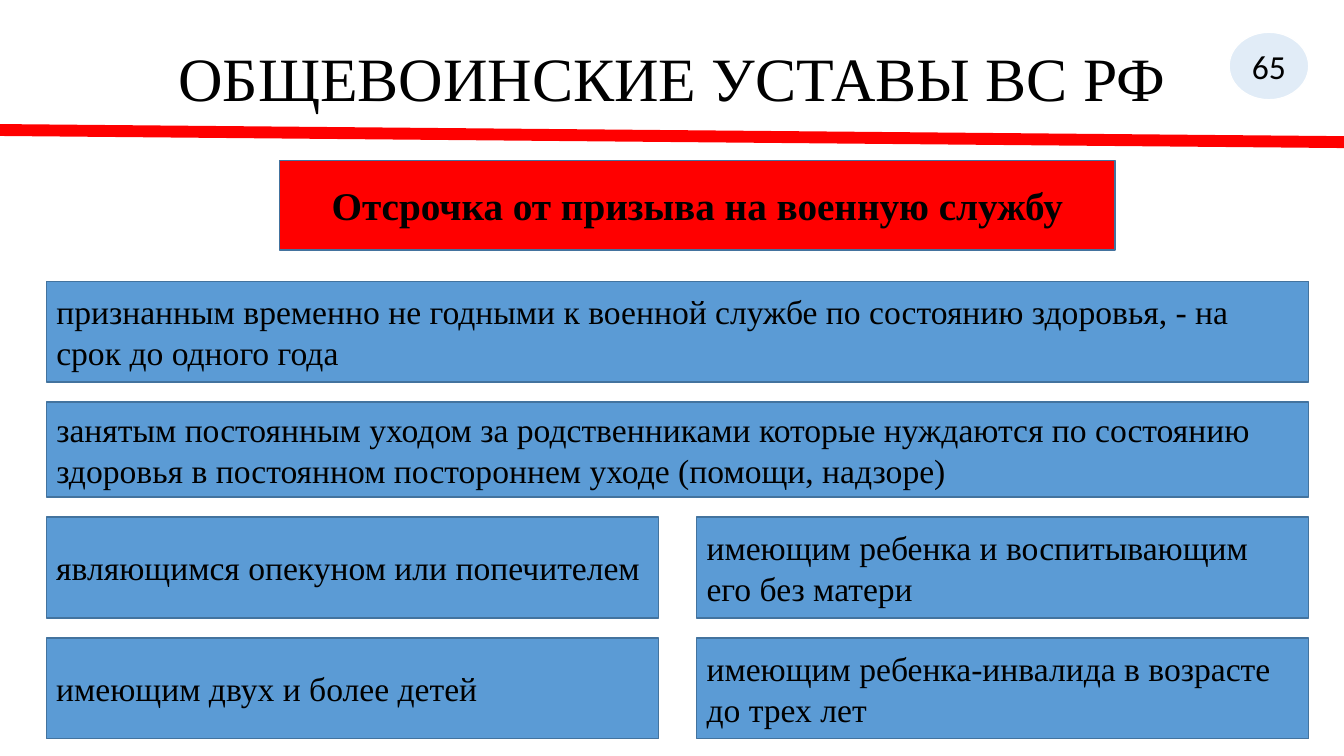
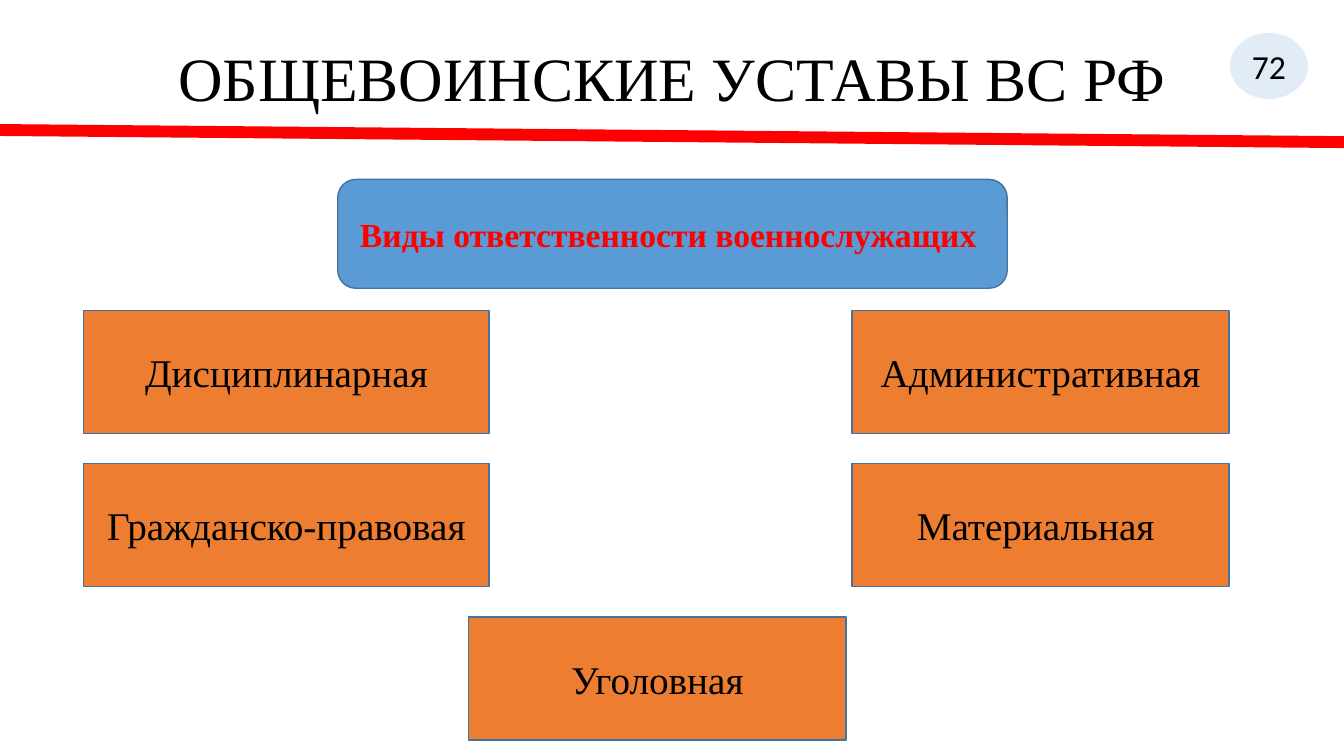
"""Build two slides on military service regulations."""
from lxml import etree
from pptx import Presentation
from pptx.dml.color import RGBColor
from pptx.enum.shapes import MSO_CONNECTOR, MSO_SHAPE
from pptx.enum.text import MSO_ANCHOR, MSO_AUTO_SIZE, PP_ALIGN
from pptx.oxml.ns import qn
from pptx.util import Inches, Pt

RECT, ROUND, OVAL = MSO_SHAPE.RECTANGLE, MSO_SHAPE.ROUNDED_RECTANGLE, MSO_SHAPE.OVAL
STRAIGHT = MSO_CONNECTOR.STRAIGHT
LEFT, CENTER = PP_ALIGN.LEFT, PP_ALIGN.CENTER
MIDDLE, NO_FIT = MSO_ANCHOR.MIDDLE, MSO_AUTO_SIZE.NONE

SLIDE_W, SLIDE_H = 13.33, 7.5
SERIF, SANS = "Times New Roman", "Calibri"
COLORS = {"red": "FF0000", "blue": "5B9BD5", "orange": "ED7D31",
          "edge": "43739E", "black": "000000", "white": "FFFFFF"}
TITLE = "ОБЩЕВОИНСКИЕ УСТАВЫ ВС РФ"

GRID_LEFT, GRID_TOP, GRID_W = 0.46, 2.79, 12.52
COL_GAP, ROW_GAP = 0.38, 0.2
DEFERMENTS = [
    (1, ["признанным временно не годными к военной службе по состоянию "
         "здоровья, - на срок до одного года"]),
    (0.94, ["занятым постоянным уходом за родственниками которые нуждаются по "
            "состоянию здоровья в постоянном постороннем уходе (помощи, надзоре)"]),
    (1, ["являющимся опекуном или попечителем",
         "имеющим ребенка и воспитывающим его без матери"]),
    (1, ["имеющим двух и более детей",
         "имеющим ребенка-инвалида в возрасте до трех лет"]),
]

KIND_TOP, KIND_H, KIND_STEP = 3.08, 1.22, 1.52
KIND_COLS = {"left": (0.83, 4.02), "middle": (4.65, 3.74), "right": (8.45, 3.74)}
KINDS = [
    ("Дисциплинарная", "left", 0),
    ("Административная", "right", 0),
    ("Гражданско-правовая", "left", 1),
    ("Материальная ", "right", 1),
    ("Уголовная", "middle", 2),
]


def rgb(name):
    """Return the named colour."""
    return RGBColor.from_string(COLORS[name])


def write(sp, text, size=24, font=SERIF, color="black", bold=False, align=CENTER):
    """Put one formatted paragraph in a shape and return it."""
    tf = sp.text_frame
    tf.word_wrap = True
    tf.vertical_anchor = MIDDLE
    p = tf.paragraphs[0]
    p.alignment = align
    r = p.add_run()
    r.text = text
    r.font.size, r.font.name, r.font.bold = Pt(size), font, bold
    r.font.color.rgb = rgb(color)
    return p


def add_box(s, box, text, fill, kind=RECT, edge="edge", **style):
    """Add a filled shape with text."""
    sp = s.shapes.add_shape(kind, *map(Inches, box))
    sp.shadow.inherit = False
    sp.fill.solid()
    sp.fill.fore_color.rgb = rgb(fill)
    sp.line.color.rgb = rgb(edge)
    sp.line.width = Pt(1)
    write(sp, text, **style)
    return sp


def add_title(s):
    """Place and format the title placeholder."""
    sp = s.shapes.title
    sp.left, sp.top, sp.width, sp.height = map(Inches, (0.92, 0.4, 11.5, 1.45))
    sp.text_frame.auto_size = NO_FIT
    sp.text_frame.margin_bottom = Inches(0.68)
    write(sp, TITLE, size=44).line_spacing = 0.9


def add_rule(s):
    """Draw the red rule below the title."""
    ln = s.shapes.add_connector(STRAIGHT, *map(Inches, (0, 1.29, SLIDE_W, 1.41)))
    ln.line.color.rgb = rgb("red")
    ln.line.width = Pt(8.5)
    etree.SubElement(ln._element.spPr, qn("a:effectLst"))


def add_number(s, number):
    """Add the page number in a pale oval."""
    sp = add_box(s, (12.19, 0.32, 0.79, 0.67), number, "blue", OVAL, "white", font=SANS)
    color = sp._element.spPr.find(qn("a:solidFill"))[0]
    etree.SubElement(color, qn("a:alpha"), val="18000")


def new_slide(prs, number):
    """Add a slide with the shared title, rule and number."""
    s = prs.slides.add_slide(prs.slide_layouts[5])
    add_title(s)
    add_rule(s)
    add_number(s, number)
    return s


def add_deferments(s):
    """Stack rows of equal-width boxes."""
    top = GRID_TOP
    for height, texts in DEFERMENTS:
        width = (GRID_W - COL_GAP * (len(texts) - 1)) / len(texts)
        for col, text in enumerate(texts):
            left = GRID_LEFT + col * (width + COL_GAP)
            add_box(s, (left, top, width, height), text, "blue", align=LEFT)
        top += height + ROW_GAP


def add_kinds(s):
    """Place the kinds of liability by column and row."""
    for text, col, row in KINDS:
        left, width = KIND_COLS[col]
        box = (left, KIND_TOP + row * KIND_STEP, width, KIND_H)
        add_box(s, box, text, "orange", size=28)


def main():
    """Build and save the presentation."""
    prs = Presentation()
    prs.slide_width, prs.slide_height = Inches(SLIDE_W), Inches(SLIDE_H)

    s = new_slide(prs, "65")
    add_box(s, (2.77, 1.59, 8.29, 0.89), "Отсрочка от призыва на военную службу",
            "red", size=28, bold=True)
    add_deferments(s)

    s = new_slide(prs, "72")
    add_box(s, (3.35, 1.78, 6.64, 1.08), "Виды ответственности военнослужащих ",
            "blue", ROUND, color="red", bold=True)
    add_kinds(s)

    prs.save("out.pptx")


if __name__ == "__main__":
    main()
